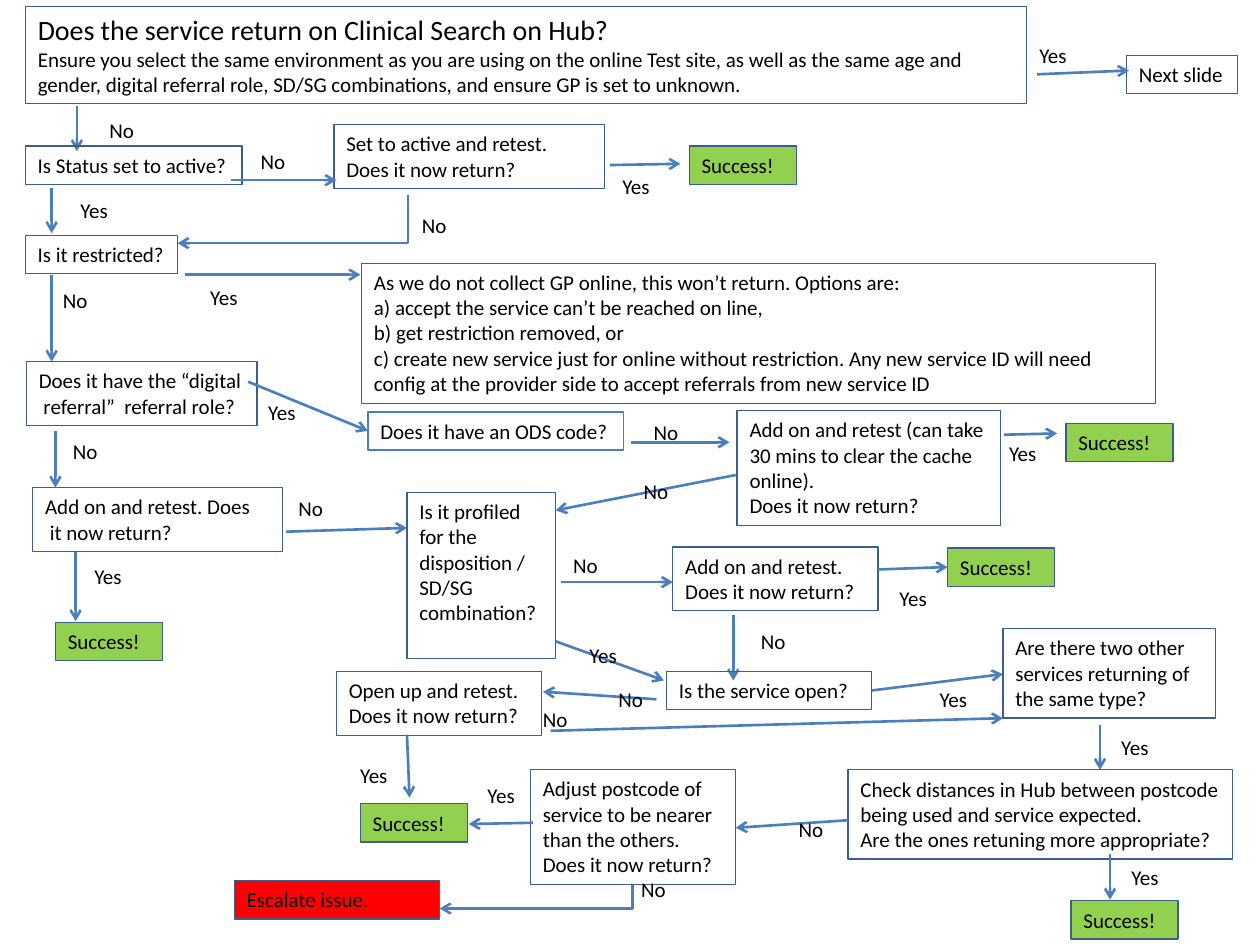
import pptx
import pptx.util
import pptx.dml.color
import pptx.enum.shapes
import pptx.enum.text
import pptx.oxml
import pptx.oxml.ns
import lxml.etree

RGB = pptx.dml.color.RGBColor
BLACK = RGB(0x00, 0x00, 0x00)
BORDER = RGB(0x3A, 0x5F, 0x8C)
ARROW = RGB(0x4B, 0x7E, 0xBC)
GREEN = RGB(0x92, 0xD0, 0x50)
RED = RGB(0xFF, 0x00, 0x00)
FONT = "Calibri"

# The slide is a grid of 100 columns by 75 rows; all places are in its cells.
WIDTH, HEIGHT = pptx.util.Inches(10), pptx.util.Inches(7.5)
COL, ROW = WIDTH / 100, HEIGHT / 75
SUCCESS = "Success!"
RETURNS = "Does it now return?"


def cells(x, y):
    """Turn columns and rows into slide lengths."""
    return round(x * COL), round(y * ROW)


def box_height(lines):
    """Rows needed by a box that holds this many text lines."""
    return 1 + 2.03 * lines


def write(sp, text, size=12, first_size=None, wrap=True):
    """Fill a shape with left-aligned text, one paragraph per line."""
    tf = sp.text_frame
    tf.word_wrap = wrap
    tf.auto_size = pptx.enum.text.MSO_AUTO_SIZE.NONE
    tf.vertical_anchor = pptx.enum.text.MSO_ANCHOR.TOP
    tf.margin_left = tf.margin_right = pptx.util.Inches(0.1)
    tf.margin_top = tf.margin_bottom = pptx.util.Inches(0.05)
    for i, line in enumerate(text.split("\n")):
        p = tf.add_paragraph() if i else tf.paragraphs[0]
        p.alignment = pptx.enum.text.PP_ALIGN.LEFT
        r = p.add_run()
        r.text = line
        r.font.name = FONT
        r.font.size = pptx.util.Pt(size if i else first_size or size)
        r.font.color.rgb = BLACK


def outline(sp, color=BORDER, fill=None):
    """Give a box its thin border and optional fill."""
    sp.line.color.rgb = color
    sp.line.width = pptx.util.Pt(0.75)
    if fill is None:
        sp.fill.background()
    else:
        sp.fill.solid()
        sp.fill.fore_color.rgb = fill


def step(s, x, y, w, lines, text, fill=None, border=BORDER, wrap=True):
    """Add one flowchart box."""
    sp = s.shapes.add_shape(pptx.enum.shapes.MSO_SHAPE.RECTANGLE,
                            *cells(x, y), *cells(w, box_height(lines)))
    sp.shadow.inherit = False
    outline(sp, border, fill)
    write(sp, text, wrap=wrap)


def answer(s, x, y, text):
    """Add a Yes or No label."""
    width = 4.2 if text == "Yes" else 4
    write(s.shapes.add_textbox(*cells(x, y), *cells(width, box_height(1))),
          text, wrap=False)


def arrow(s, x1, y1, x2, y2, elbow=False):
    """Add an arrow; an elbow goes vertically first, then sideways."""
    kinds = pptx.enum.shapes.MSO_CONNECTOR
    c = s.shapes.add_connector(kinds.ELBOW if elbow else kinds.STRAIGHT,
                               *cells(x1, y1), *cells(x2, y2))
    c.line.color.rgb = ARROW
    c.line.width = pptx.util.Pt(1.5)
    qn = pptx.oxml.ns.qn
    pr = c._element.spPr
    if elbow:
        guides = pr.find(qn("a:prstGeom")).find(qn("a:avLst"))
        lxml.etree.SubElement(guides, qn("a:gd"), name="adj1", fmla="val 0")
    lxml.etree.SubElement(pr.find(qn("a:ln")), qn("a:tailEnd"), type="arrow")
    lxml.etree.SubElement(pr, qn("a:effectLst"))


def region(s, corner, steps=(), arrows=(), elbows=(), yes=(), no=(), success=()):
    """Place the parts of one region relative to its top left corner."""
    left, top = corner
    for x, y, w, lines, text, *style in steps:
        step(s, left + x, top + y, w, lines, text, **(style[0] if style else {}))
    for x, y in success:
        step(s, left + x, top + y, 8.5, 1, SUCCESS, fill=GREEN)
    for routes, bent in ((arrows, False), (elbows, True)):
        for x1, y1, x2, y2 in routes:
            arrow(s, left + x1, top + y1, left + x2, top + y2, bent)
    for text, places in (("Yes", yes), ("No", no)):
        for x, y in places:
            answer(s, left + x, top + y, text)


def header(s, corner):
    """Opening question in the title, and the way to the next slide."""
    title = s.shapes.title
    title.left, title.top = cells(corner[0], corner[1] + 0.5)
    title.width, title.height = cells(79.5, 7.7)
    outline(title)
    write(title, "Does the service return on Clinical Search on Hub?\n"
          "Ensure you select the same environment as you are using on the online "
          "Test site, as well as the same age and gender, digital referral role, "
          "SD/SG combinations, and ensure GP is set to unknown.", first_size=16)
    region(s, corner,
           steps=[(87.4, 4.4, 8.8, 1, "Next slide", {"wrap": False})],
           arrows=[(80.3, 5.9, 87.6, 5.6), (4.1, 8.4, 4.1, 12)],
           yes=[(79.5, 2.9)], no=[(5.7, 8.8)])


def status(s, corner):
    """Is the service active?"""
    region(s, corner,
           steps=[(0, 1.6, 17.2, 1, "Is Status set to active?", {"wrap": False}),
                  (24.5, -0.1, 21.5, 2, "Set to active and retest.\n" + RETURNS)],
           success=[(52.7, 1.6)],
           arrows=[(16.3, 4.3, 24.7, 4.3), (46.4, 3.1, 52, 3),
                   (2.1, 4.9, 2.1, 8.5)],
           elbows=[(30.4, 5.5, 12.1, 9.3)],
           yes=[(46.4, 3.3), (3.4, 5.2)], no=[(17.7, 1.3), (30.5, 6.4)])


def restriction(s, corner):
    """Is the service restricted, and what are the options?"""
    region(s, corner,
           steps=[(0, 0.7, 12.1, 1, "Is it restricted?", {"wrap": False}),
                  (26.7, 2.9, 63, 5,
                   "As we do not collect GP online, this won’t return. Options are:\n"
                   "a) accept the service can’t be reached on line,\n"
                   "b) get restriction removed, or\n"
                   "c) create new service just for online without restriction. Any "
                   "new service ID will need config at the provider side to accept "
                   "referrals from new service ID")],
           arrows=[(2.1, 3.8, 2.1, 10.7), (12.7, 3.8, 26.6, 3.8)],
           yes=[(13.7, 4.1)], no=[(2, 4.3)])


def referral(s, corner):
    """Digital referral role and ODS code."""
    region(s, corner,
           steps=[(0.1, 0.7, 18.3, 2, "Does it have the “digital\n"
                   " referral”  referral role?", {"wrap": False}),
                  (0.6, 10.7, 19.8, 2, "Add on and retest. Does\n it now return?"),
                  (27.2, 4.7, 20.3, 1, "Does it have an ODS code?",
                   {"wrap": False, "border": ARROW}),
                  (56.5, 4.6, 20.9, 4, "Add on and retest (can take 30 mins to "
                   "clear the cache online).\n" + RETURNS)],
           success=[(2.4, 21.4), (82.6, 5.6)],
           arrows=[(2.4, 6.2, 2.4, 10.7), (4, 15.8, 4, 21.3),
                   (17.7, 2.3, 27.2, 6.2), (48.1, 7.1, 55.9, 7.1),
                   (77.7, 6.5, 81.9, 6.4), (56.4, 9.7, 42.1, 12.5),
                   (20.7, 14.2, 30.3, 13.9)],
           yes=[(4.5, 16.2), (18.3, 3.2), (77.1, 6.5)],
           no=[(2.8, 6.3), (48.9, 4.8), (48.1, 9.5), (20.7, 10.8)])


def profile(s, corner):
    """Disposition and SD/SG profiling."""
    region(s, corner,
           steps=[(0.3, 0.1, 11.8, 6, "Is it profiled for the disposition / SD/SG "
                   "combination?"),
                  (21.4, 4.4, 16.3, 2, "Add on and retest.\n" + RETURNS)],
           success=[(43.2, 4.5)],
           arrows=[(12.5, 7.2, 21.4, 7.2), (26.2, 9.8, 26.2, 15),
                   (37.7, 6.2, 43.2, 6), (12.1, 11.9, 20.7, 15)],
           yes=[(38.4, 7), (13.8, 11.5)], no=[(12.5, 4.4), (27.4, 10.4)])


def opening(s, corner):
    """Is the service open, and are others returning?"""
    region(s, corner,
           steps=[(26.9, 4.3, 16.3, 1, "Is the service open?"),
                  (0.7, 4.3, 16.3, 2, "Open up and retest.\n" + RETURNS),
                  (53.6, 0.9, 16.9, 3,
                   "Are there two other services returning of the same type?")],
           success=[(2.6, 14.8)],
           arrows=[(6.3, 9.3, 6.5, 14.3), (43.2, 5.8, 53.6, 4.5),
                   (26.1, 6.5, 17.1, 5.9), (17.7, 9, 53.6, 8),
                   (61.3, 8.5, 61.3, 12.1)],
           yes=[(1.6, 11), (47.6, 5), (62, 8.8)], no=[(22.1, 5), (16.1, 6.6)])


def distance(s, corner):
    """Distance check, postcode change and escalation."""
    region(s, corner,
           steps=[(49.3, 0.1, 30.5, 3, "Check distances in Hub between postcode "
                   "being used and service expected.\n"
                   "Are the ones retuning more appropriate?"),
                  (24.1, 0.1, 16.3, 4, "Adjust postcode of service to be nearer "
                   "than the others.\n" + RETURNS),
                  (0.6, 8.9, 16.3, 1, "Escalate issue.", {"fill": RED})],
           success=[(67, 10.5)],
           arrows=[(70.1, 6.8, 70.1, 10.4), (24.3, 4.3, 19.2, 4.4),
                   (49.3, 4.1, 40.4, 4.7)],
           elbows=[(32.2, 9.2, 16.9, 11.1)],
           yes=[(70.8, 7.1), (19.7, 0.6)], no=[(44.4, 3.3), (31.9, 8.1)])


prs = pptx.Presentation()
prs.slide_width, prs.slide_height = WIDTH, HEIGHT
s = prs.slides.add_slide(prs.slide_layouts.get_by_name("Title Only"))
for draw, corner in ((header, (2, 0)), (status, (2, 10)), (restriction, (2, 18)),
                     (referral, (2, 28)), (profile, (32, 39)),
                     (opening, (26, 49)), (distance, (18, 61))):
    draw(s, corner)
prs.save("out.pptx")
